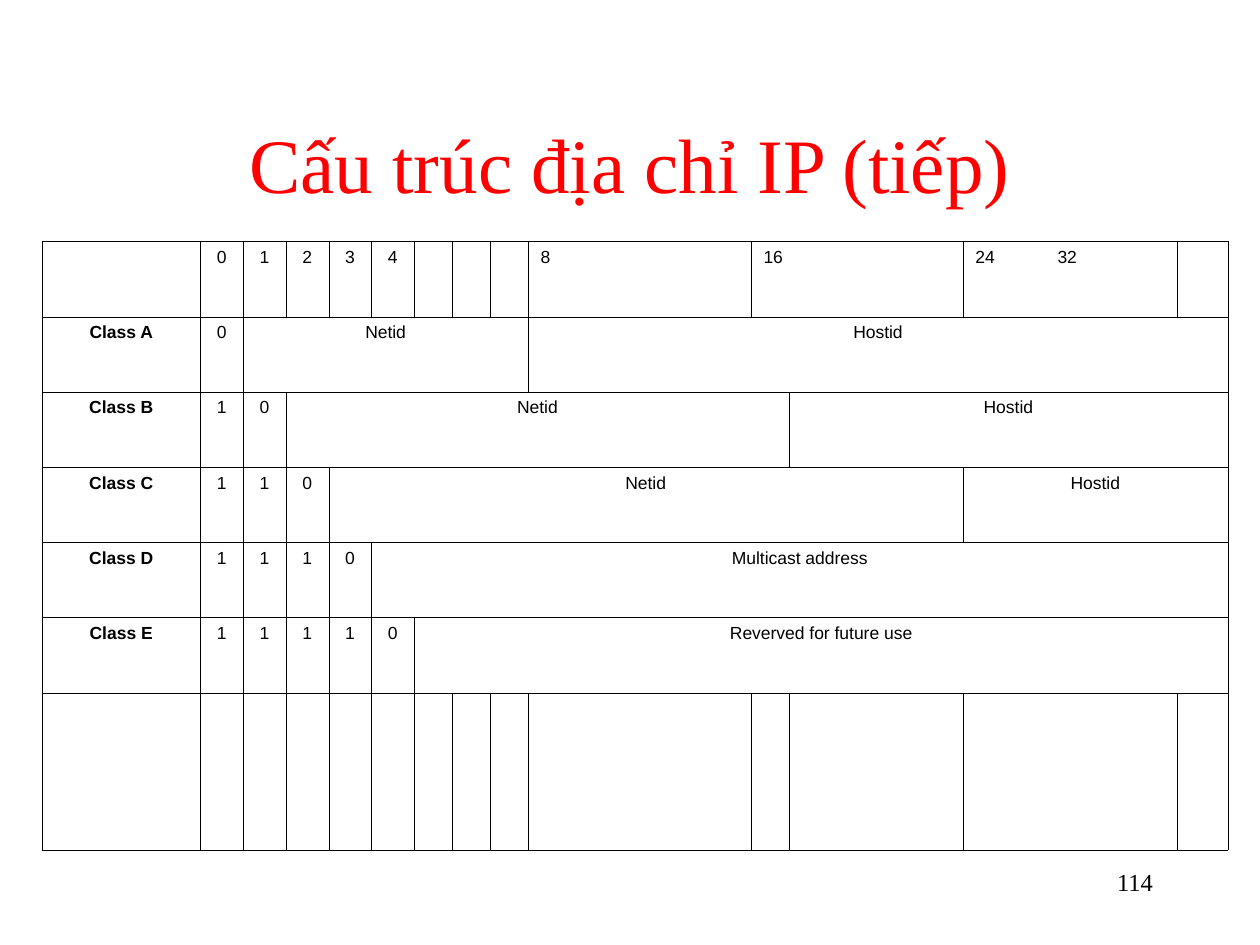
"""Build the slide on the structure of IP address classes."""
from dataclasses import dataclass

from lxml.etree import SubElement
from pptx import Presentation
from pptx.dml.color import RGBColor as RGB
from pptx.enum.text import MSO_ANCHOR as Anchor, MSO_AUTO_SIZE as Fit, PP_ALIGN as Align
from pptx.oxml.ns import qn
from pptx.util import Pt

COLORS = {"title": "FF0000", "text": "000000", "border": "010000"}
TITLE = {"name": "Times New Roman", "size": Pt(44), "bold": False}
NUMBER = {"name": "Times New Roman", "size": Pt(14), "bold": False}
CELL = {"name": "Arial", "size": Pt(10), "bold": False}
HEAD = CELL | {"bold": True}

COLS = [90.5] + [24.45] * 5 + [21.7] * 3 + [127.4, 21.7, 99.4, 122.3, 29.2]
ROWS = [43] * 6 + [90]
BORDER = 0.06
TAB_STOP = 46.9


@dataclass
class Field:
    text: str
    span: int


@dataclass
class AddressClass:
    name: str
    bits: str
    fields: list[Field]


CLASSES = [
    AddressClass("Class A", "0", [Field("Netid", 7), Field("Hostid", 5)]),
    AddressClass("Class B", "10", [Field("Netid", 8), Field("Hostid", 3)]),
    AddressClass("Class C", "110", [Field("Netid", 8), Field("Hostid", 2)]),
    AddressClass("Class D", "1110", [Field("Multicast address", 9)]),
    AddressClass("Class E", "11110", [Field("Reverved for future use", 8)]),
]
BYTE_MARKS = {9: Field("8", 1), 10: Field("16", 2), 12: Field("24\t32", 1)}


def write(tf, text: str, fmt: dict, align=Align.CENTER, color: str = "text") -> None:
    """Write one formatted line into a text frame."""
    p = tf.paragraphs[0]
    p.alignment = align
    r = p.add_run()
    r.text = text
    for key, value in fmt.items():
        setattr(r.font, key, value)
    r.font.color.rgb = RGB.from_string(COLORS[color])


def add_tab(p, pos: float) -> None:
    """Give a paragraph a left tab stop."""
    tabs = SubElement(p._p.get_or_add_pPr(), qn("a:tabLst"))
    SubElement(tabs, qn("a:tab"), pos=str(Pt(pos)), algn="l")


def draw_borders(cell) -> None:
    """Draw thin lines on all sides of an unfilled cell."""
    tcPr = cell._tc.get_or_add_tcPr()
    for side in ("lnL", "lnR", "lnT", "lnB"):
        ln = SubElement(tcPr, qn(f"a:{side}"), w=str(Pt(BORDER)))
        fill = SubElement(ln, qn("a:solidFill"))
        SubElement(fill, qn("a:srgbClr"), val=COLORS["border"])
    cell.fill.background()


def put_field(table, row: int, col: int, field: Field, align=Align.CENTER) -> None:
    """Write a field over the columns that it spans."""
    cell = table.cell(row, col)
    if field.span > 1:
        cell.merge(table.cell(row, col + field.span - 1))
    if "\t" in field.text:
        add_tab(cell.text_frame.paragraphs[0], TAB_STOP)
    write(cell.text_frame, field.text, CELL, align)


def put_class(table, row: int, item: AddressClass) -> None:
    """Fill the row of one address class."""
    write(table.cell(row, 0).text_frame, item.name, HEAD)
    col = 1
    for field in [Field(bit, 1) for bit in item.bits] + item.fields:
        put_field(table, row, col, field)
        col += field.span


def add_class_table(slide) -> None:
    """Add the table of address classes."""
    frame = slide.shapes.add_table(len(ROWS), len(COLS), Pt(24), Pt(138),
                                   Pt(sum(COLS)), Pt(sum(ROWS)))
    table = frame.table
    table.first_row = table.horz_banding = False
    for column, width in zip(table.columns, COLS):
        column.width = Pt(width)
    for row, height in zip(table.rows, ROWS):
        row.height = Pt(height)
    for cell in table.iter_cells():
        draw_borders(cell)
    for bit in range(5):
        put_field(table, 0, bit + 1, Field(str(bit), 1))
    for col, field in BYTE_MARKS.items():
        put_field(table, 0, col, field, Align.LEFT)
    for row, item in enumerate(CLASSES, 1):
        put_class(table, row, item)


def main() -> None:
    """Build and save the slide."""
    prs = Presentation()
    prs.slide_width, prs.slide_height = Pt(720), Pt(540)
    slide = prs.slides.add_slide(prs.slide_layouts[5])

    title = slide.shapes.title
    title.left, title.top, title.width, title.height = Pt(54), Pt(48), Pt(612), Pt(90)
    tf = title.text_frame
    tf.auto_size, tf.vertical_anchor = Fit.NONE, Anchor.MIDDLE
    write(tf, "Cấu trúc địa chỉ IP (tiếp)", TITLE, color="title")

    add_class_table(slide)

    number = slide.shapes.add_textbox(Pt(516), Pt(492), Pt(150), Pt(36))
    number.text_frame.word_wrap = True
    write(number.text_frame, "114", NUMBER, Align.RIGHT)
    prs.save("out.pptx")


if __name__ == "__main__":
    main()
